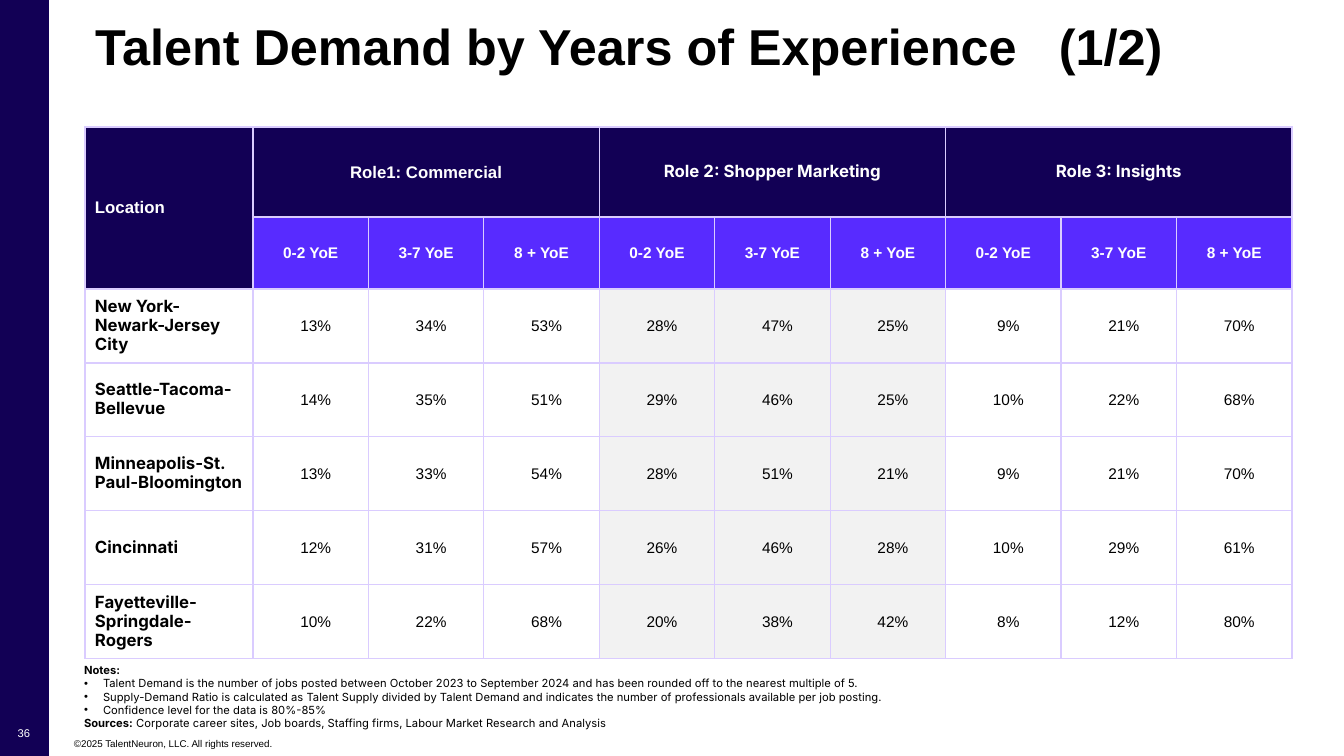
from lxml import etree
from pptx import Presentation
from pptx.dml.color import RGBColor
from pptx.enum.shapes import MSO_SHAPE
from pptx.enum.text import MSO_ANCHOR, MSO_AUTO_SIZE, PP_ALIGN
from pptx.oxml.ns import qn
from pptx.util import Pt

LEFT, CENTER = PP_ALIGN.LEFT, PP_ALIGN.CENTER
MIDDLE, TOP, BOTTOM = MSO_ANCHOR.MIDDLE, MSO_ANCHOR.TOP, MSO_ANCHOR.BOTTOM

COLORS = {"navy": "120055", "violet": "582BFF", "lilac": "DACCFF",
          "gray": "F2F2F2", "white": "FFFFFF", "black": "000000"}

TITLE = "Talent Demand by Years of Experience\t(1/2)"
PAGE_NUMBER = "36"
COPYRIGHT = "©2025 TalentNeuron, LLC. All rights reserved."
# name, font, exact line spacing in points
ROLES = [("Role1: Commercial", "Arial", None),
         ("Role 2: Shopper Marketing", "Inter", 13.5),
         ("Role 3: Insights", "Inter", 13.5)]
BANDS = ["0-2 YoE", "3-7 YoE", "8 + YoE"]
DEMAND = [
    ("New York-Newark-Jersey City", [13, 34, 53, 28, 47, 25, 9, 21, 70]),
    ("Seattle-Tacoma-Bellevue", [14, 35, 51, 29, 46, 25, 10, 22, 68]),
    ("Minneapolis-St. Paul-Bloomington", [13, 33, 54, 28, 51, 21, 9, 21, 70]),
    ("Cincinnati", [12, 31, 57, 26, 46, 28, 10, 29, 61]),
    ("Fayetteville-Springdale-Rogers", [10, 22, 68, 20, 38, 42, 8, 12, 80]),
]
NOTES = [
    "Talent Demand is the number of jobs posted between October 2023 to September 2024 "
    "and has been rounded off to the nearest multiple of 5.",
    "Supply-Demand Ratio is calculated as Talent Supply divided by Talent Demand "
    "and indicates the number of professionals available per job posting.",
    "Confidence level for the data is 80%-85%",
]
SOURCES = " Corporate career sites, Job boards, Staffing firms, Labour Market Research and Analysis"

PAGE_WIDTH, PAGE_HEIGHT = 1344, 756
TABLE_LEFT, TABLE_TOP = 85, 127
LOCATION_WIDTH, VALUES_WIDTH = 168, 1039
ROW_HEIGHTS = [90, 72] + [74] * len(DEMAND)
CELL_INSETS = (10, 5, 10, 5)
THIN_INSETS = (1, 1, 1, 0)
NO_INSETS = (0, 0, 0, 0)


def px(length):
    return round(length * 914400 / 100.8)


def rgb(name):
    return RGBColor.from_string(COLORS[name])


def add_run(para, text, size, color="black", font="Arial", bold=False):
    span = para.add_run()
    span.text = text
    span.font.size = Pt(size)
    span.font.name = font
    span.font.bold = bold
    span.font.color.rgb = rgb(color)


def set_insets(target, insets):
    (target.margin_left, target.margin_top,
     target.margin_right, target.margin_bottom) = map(px, insets)


def add_box(page, bounds, anchor, insets=CELL_INSETS):
    box = page.shapes.add_textbox(*map(px, bounds))
    frame = box.text_frame
    frame.word_wrap = True
    frame.vertical_anchor = anchor
    set_insets(frame, insets)
    return frame


def fill_cell(cell, text, size, fill, color="black", font="Arial", bold=False,
              align=CENTER, insets=THIN_INSETS, spacing=None, indent=0):
    cell.fill.solid()
    cell.fill.fore_color.rgb = rgb(fill)
    cell.vertical_anchor = MIDDLE
    set_insets(cell, insets)
    para = cell.text_frame.paragraphs[0]
    para.alignment = align
    if spacing:
        para.line_spacing = Pt(spacing)
    if indent:
        para._p.get_or_add_pPr().set("marL", str(px(indent)))
    add_run(para, text, size, color, font, bold)


def add_borders(cell):
    properties = cell._tc.get_or_add_tcPr()
    for side in ("a:lnL", "a:lnR", "a:lnT", "a:lnB"):
        line = etree.SubElement(properties, qn(side), w=str(Pt(1)))
        solid = etree.SubElement(line, qn("a:solidFill"))
        etree.SubElement(solid, qn("a:srgbClr"), val=COLORS["lilac"])


def add_title(page):
    title = page.shapes.title
    title.left, title.top, title.width, title.height = map(px, (85, 41, 1237, 72))
    frame = title.text_frame
    frame.word_wrap = True
    frame.auto_size = MSO_AUTO_SIZE.NONE
    frame.vertical_anchor = MIDDLE
    set_insets(frame, (10, 5, 10, 61))
    para = frame.paragraphs[0]
    para.alignment = LEFT
    para.line_spacing = 0.9
    tabs = etree.SubElement(para._p.get_or_add_pPr(), qn("a:tabLst"))
    etree.SubElement(tabs, qn("a:tab"), pos=str(px(964)), algn="l")
    add_run(para, TITLE, 36, bold=True)


def add_demand_table(page):
    columns = len(ROLES) * len(BANDS)
    frame = page.shapes.add_table(
        len(ROW_HEIGHTS), columns + 1, px(TABLE_LEFT), px(TABLE_TOP),
        px(LOCATION_WIDTH + VALUES_WIDTH), px(sum(ROW_HEIGHTS)))
    table = frame.table
    table.first_row = table.horz_banding = False
    for row, height in zip(table.rows, ROW_HEIGHTS):
        row.height = px(height)
    for index, column in enumerate(table.columns):
        column.width = px(VALUES_WIDTH / columns if index else LOCATION_WIDTH)
    for cell in table.iter_cells():
        add_borders(cell)

    table.cell(0, 0).merge(table.cell(1, 0))
    fill_cell(table.cell(0, 0), "Location", 12, "navy", "white", bold=True,
              align=LEFT, insets=(10, 10, 10, 10))
    for index, (role, font, spacing) in enumerate(ROLES):
        first = 1 + index * len(BANDS)
        table.cell(0, first).merge(table.cell(0, first + len(BANDS) - 1))
        fill_cell(table.cell(0, first), role, 12, "navy", "white", font, True,
                  spacing=spacing)
        for offset, band in enumerate(BANDS):
            fill_cell(table.cell(1, first + offset), band, 11, "violet", "white",
                      bold=True, insets=NO_INSETS)
    for row, (location, shares) in enumerate(DEMAND, 2):
        fill_cell(table.cell(row, 0), location, 12, "white", font="Inter", bold=True,
                  align=LEFT, insets=CELL_INSETS, spacing=13.5)
        for column, share in enumerate(shares):
            fill = "gray" if column // len(BANDS) == 1 else "white"
            fill_cell(table.cell(row, column + 1), f"{share}%", 11, fill, indent=10)


def add_notes(page):
    frame = add_box(page, (74, 658, 1219, 78), TOP)
    add_run(frame.paragraphs[0], "Notes:", 8, font="Inter", bold=True)
    for note in NOTES:
        para = frame.add_paragraph()
        properties = para._p.get_or_add_pPr()
        properties.set("marL", str(px(19)))
        properties.set("indent", str(-px(19)))
        etree.SubElement(properties, qn("a:buFont"), typeface="Arial")
        etree.SubElement(properties, qn("a:buChar"), char="•")
        add_run(para, note, 8, font="Inter")
    para = frame.add_paragraph()
    add_run(para, "Sources:", 8, font="Inter", bold=True)
    add_run(para, SOURCES, 8, font="Inter")


def main():
    deck = Presentation()
    deck.slide_width, deck.slide_height = px(PAGE_WIDTH), px(PAGE_HEIGHT)
    page = deck.slides.add_slide(deck.slide_layouts[5])

    sidebar = page.shapes.add_shape(MSO_SHAPE.RECTANGLE, 0, 0, px(49), px(PAGE_HEIGHT))
    sidebar.shadow.inherit = False
    sidebar.fill.solid()
    sidebar.fill.fore_color.rgb = rgb("navy")
    sidebar.line.fill.background()

    copyright_line = add_box(page, (74, 738, 803, 12), BOTTOM, NO_INSETS)
    add_run(copyright_line.paragraphs[0], COPYRIGHT, 7)
    add_title(page)
    number = add_box(page, (5, 717, 38, 33), MIDDLE)
    number.paragraphs[0].alignment = CENTER
    add_run(number.paragraphs[0], PAGE_NUMBER, 8, "white")
    add_demand_table(page)
    add_notes(page)
    deck.save("out.pptx")


if __name__ == "__main__":
    main()
